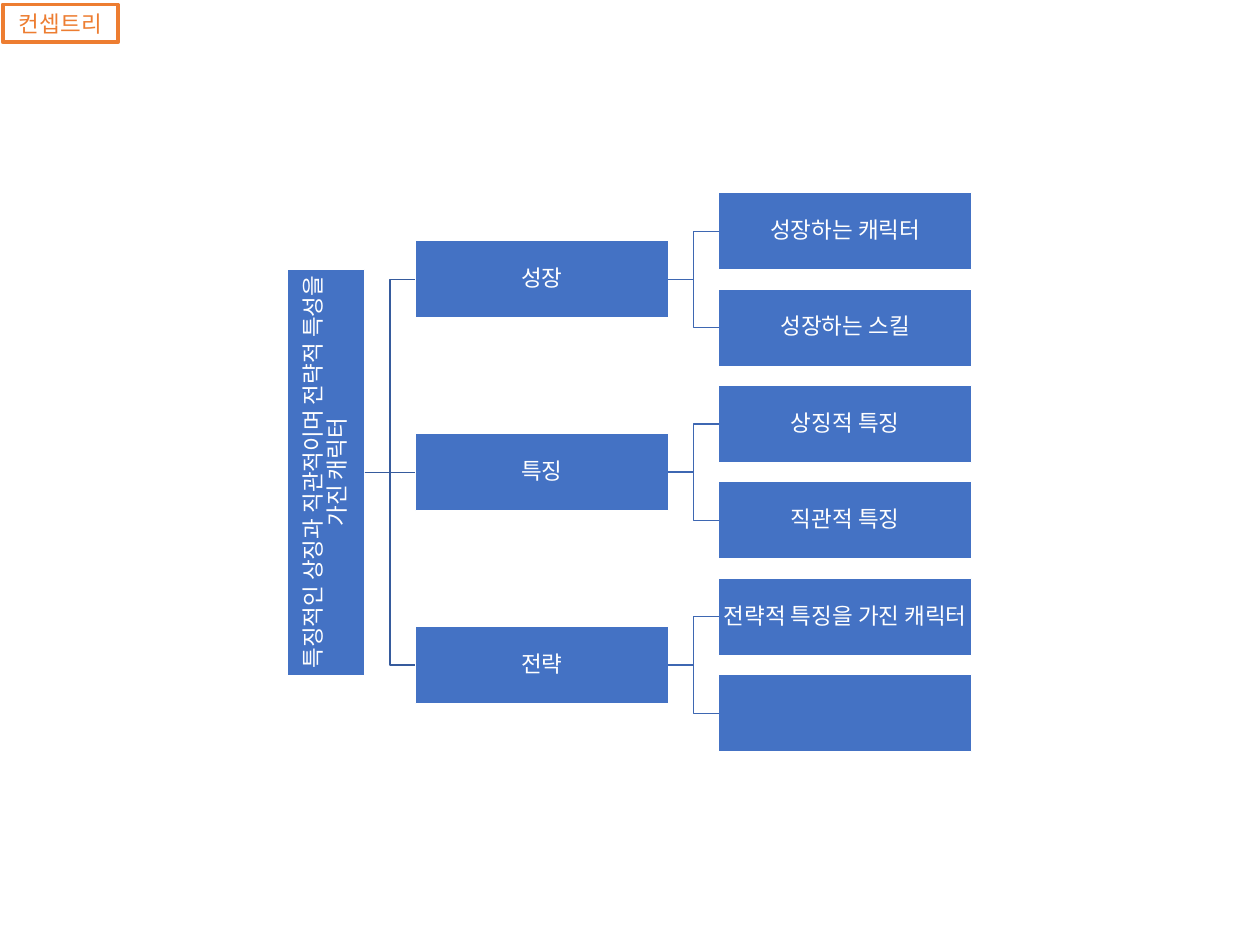
from lxml import etree
from pptx import Presentation
from pptx.dml.color import RGBColor
from pptx.enum.shapes import MSO_CONNECTOR, MSO_SHAPE
from pptx.enum.text import MSO_ANCHOR, MSO_AUTO_SIZE, PP_ALIGN
from pptx.oxml.ns import qn
from pptx.util import Pt

RECT = MSO_SHAPE.RECTANGLE
ELBOW, STRAIGHT = MSO_CONNECTOR.ELBOW, MSO_CONNECTOR.STRAIGHT
CENTER, MIDDLE = PP_ALIGN.CENTER, MSO_ANCHOR.MIDDLE
NO_AUTOFIT = MSO_AUTO_SIZE.NONE
LEFT, BOTTOM, RIGHT = 1, 2, 3  # connection sites

WHITE = RGBColor(0xFF, 0xFF, 0xFF)
BLUE = RGBColor(0x44, 0x72, 0xC4)
ROOT_LINK = RGBColor(0x36, 0x5B, 0x9D)
LEAF_LINK = RGBColor(0x3E, 0x67, 0xB2)
ORANGE = RGBColor(0xED, 0x7D, 0x31)

FONT = {"name": "Calibri", "size": Pt(18), "bold": False}
NODE_PARAGRAPH = {"alignment": CENTER, "line_spacing": 0.9, "space_after": Pt(6.3)}
MARGINS = ("margin_left", "margin_top", "margin_right", "margin_bottom")

# Tree measures, in points
NODE_W, NODE_H, ROOT_LENGTH = 202.3, 61.7, 324.7
COL_GAP = 40.45
ROW_STEP = NODE_H * 1.25

ROOT = "특징적인 상징과 직관적이며 전략적 특성을 가진 캐릭터"
BRANCHES = [
    ("성장", ["성장하는 캐릭터", "성장하는 스킬"]),
    ("특징", ["상징적 특징", "직관적 특징"]),
    ("전략", ["전략적 특징을 가진 캐릭터", ""]),
]


def set_all(target, values):
    for name, value in values.items():
        setattr(target, name, value)


def write(sp, text, color, margin, paragraph):
    tf = sp.text_frame
    set_all(tf, {"word_wrap": True, "auto_size": NO_AUTOFIT, "vertical_anchor": MIDDLE})
    set_all(tf, margin)
    p = tf.paragraphs[0]
    set_all(p, paragraph)
    if text:
        r = p.add_run()
        r.text = text
        set_all(r.font, FONT)
        r.font.color.rgb = color


def add_title(s, x, y, w, h):
    sp = s.shapes.title
    set_all(sp, {"left": Pt(x), "top": Pt(y), "width": Pt(w), "height": Pt(h)})
    sp.line.color.rgb = ORANGE
    sp.line.width = Pt(3)
    write(sp, "컨셉트리", ORANGE, {}, {"alignment": CENTER})


def add_node(s, text, x, y, w=NODE_W, h=NODE_H):
    sp = s.shapes.add_shape(RECT, Pt(x), Pt(y), Pt(w), Pt(h))
    sp.shadow.inherit = False
    sp.fill.solid()
    sp.fill.fore_color.rgb = BLUE
    sp.line.color.rgb = WHITE
    sp.line.width = Pt(1)
    write(sp, text, WHITE, dict.fromkeys(MARGINS, Pt(0.7)), NODE_PARAGRAPH)
    return sp


def add_link(s, parent, site, child, color, kind=ELBOW):
    link = s.shapes.add_connector(kind, 0, 0, 0, 0)
    link.begin_connect(parent, site)
    link.end_connect(child, LEFT)
    link.line.color.rgb = color
    link.line.width = Pt(1)
    etree.SubElement(link._element.spPr, qn("a:effectLst"))
    return link


def add_tree(s, x, y):
    """Draw the tree with its top left corner at x, y."""
    branch_x = x + NODE_H + COL_GAP
    leaf_x = branch_x + NODE_W + COL_GAP
    leaf_count = sum(len(leaves) for _, leaves in BRANCHES)
    mid_y = y + ((leaf_count - 1) * ROW_STEP + NODE_H) / 2

    # Root, turned to read upwards: its bottom side faces the branches
    root = add_node(s, ROOT, x + (NODE_H - ROOT_LENGTH) / 2, mid_y - NODE_H / 2,
                    ROOT_LENGTH)
    root.rotation = 270

    row = 0
    for i, (name, leaves) in enumerate(BRANCHES):
        # Branch, centred on its leaves
        branch_y = y + (row + (len(leaves) - 1) / 2) * ROW_STEP
        branch = add_node(s, name, branch_x, branch_y)
        kind = STRAIGHT if i == len(BRANCHES) // 2 else ELBOW
        link = add_link(s, root, BOTTOM, branch, ROOT_LINK, kind)
        # Start where the turned side really lies
        set_all(link, {"begin_x": Pt(x + NODE_H), "begin_y": Pt(mid_y)})

        # Leaves
        for leaf in leaves:
            sp = add_node(s, leaf, leaf_x, y + row * ROW_STEP)
            add_link(s, branch, RIGHT, sp, LEAF_LINK)
            row += 1


def main():
    prs = Presentation()
    prs.slide_width, prs.slide_height = Pt(1008), Pt(756)
    s = prs.slides.add_slide(prs.slide_layouts[5])
    add_title(s, 2.2, 3.6, 92.2, 30.2)
    add_tree(s, 230.1, 154.1)
    prs.save("out.pptx")


if __name__ == "__main__":
    main()
